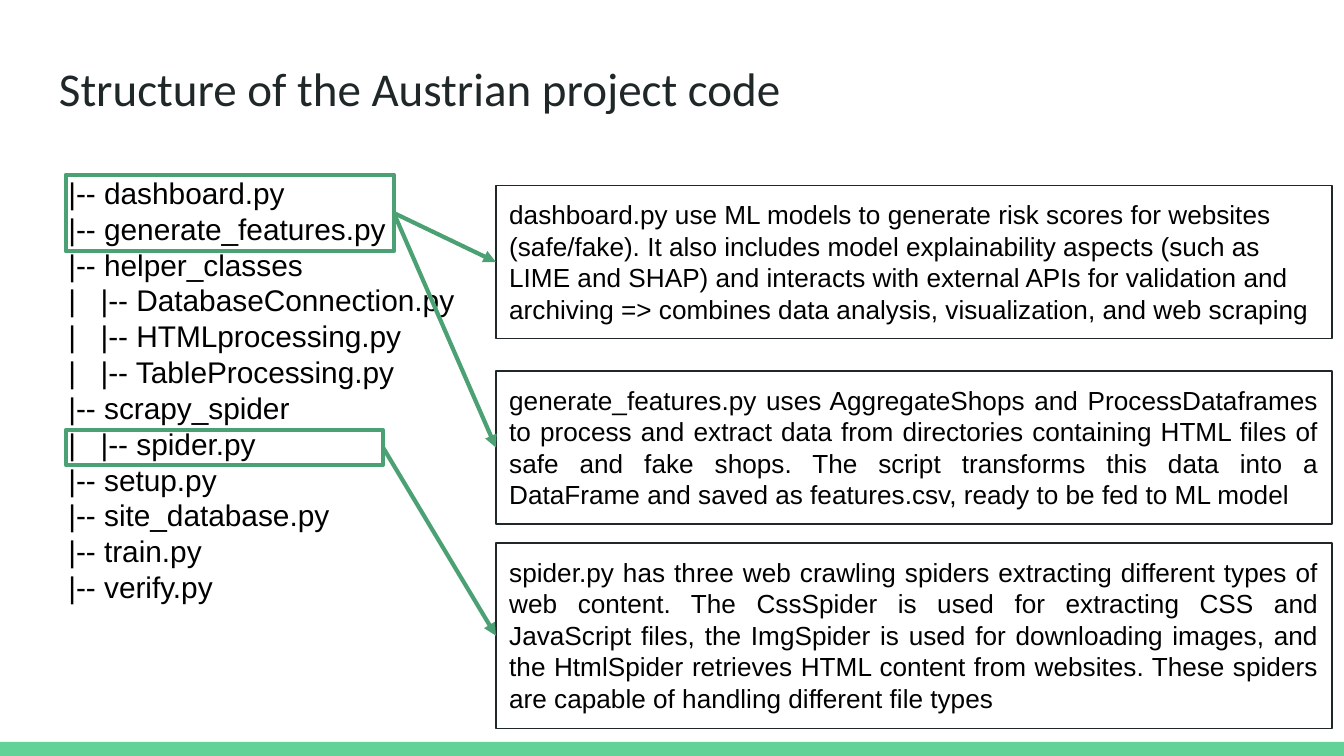
"""Build a slide that links a project file tree to descriptions of its scripts."""
from typing import NamedTuple

from lxml.etree import SubElement
from pptx import Presentation
from pptx.dml.color import RGBColor
from pptx.enum.shapes import MSO_CONNECTOR, MSO_SHAPE
from pptx.enum.text import MSO_ANCHOR, MSO_AUTO_SIZE, PP_ALIGN
from pptx.oxml.ns import qn
from pptx.util import Inches, Pt

GREEN, BAR_GREEN, DARK, BLACK = "4BA173", "63D297", "202729", "000000"
LINE_HEIGHT = 1.2
RIGHT_SIDE, LEFT_SIDE = 3, 1


class Box(NamedTuple):
    """Position and size in inches."""
    left: float
    top: float
    width: float
    height: float


class Description(NamedTuple):
    """A script's explanation and the tree frame that points to it."""
    top: float
    height: float
    alignment: PP_ALIGN
    frame: str
    text: str


TREE = (
    "|-- dashboard.py",
    "|-- generate_features.py",
    "|-- helper_classes",
    "|\t|-- DatabaseConnection.py",
    "|\t|-- HTMLprocessing.py",
    "|\t|-- TableProcessing.py",
    "|-- scrapy_spider",
    "|\t|-- spider.py",
    "|-- setup.py",
    "|-- site_database.py",
    "|-- train.py",
    "|-- verify.py",
)

FRAMES = {
    "features": Box(0.49, 1.3, 2.44, 0.57),
    "spider": Box(0.49, 3.2, 2.36, 0.26),
}

DESCRIPTIONS = (
    Description(1.38, 1.14, PP_ALIGN.LEFT, "features",
                "dashboard.py use ML models to generate risk scores for websites (safe/fake). "
                "It also includes model explainability aspects (such as LIME and SHAP) and "
                "interacts with external APIs for validation and archiving => combines data "
                "analysis, visualization, and web scraping"),
    Description(2.76, 1.14, PP_ALIGN.JUSTIFY, "features",
                "generate_features.py uses AggregateShops and ProcessDataframes to process and "
                "extract data from directories containing HTML files of safe and fake shops. "
                "The script transforms this data into a DataFrame and saved as features.csv, "
                "ready to be fed to ML model"),
    Description(4.04, 1.38, PP_ALIGN.JUSTIFY, "spider",
                "spider.py has three web crawling spiders extracting different types of web "
                "content. The CssSpider is used for extracting CSS and JavaScript files, the "
                "ImgSpider is used for downloading images, and the HtmlSpider retrieves HTML "
                "content from websites. These spiders are capable of handling different file "
                "types"),
)


def color(value: str) -> RGBColor:
    """Turn a hex string into a colour."""
    return RGBColor.from_string(value)


def inches(box: Box) -> list:
    """Convert a box to lengths."""
    return [Inches(value) for value in box]


def add_rectangle(slide, box: Box, fill: str = "", line: str = "", width: float = 0.75):
    """Draw a rectangle with an optional fill and outline."""
    shape = slide.shapes.add_shape(MSO_SHAPE.RECTANGLE, *inches(box))
    shape.shadow.inherit = False
    if fill:
        shape.fill.solid()
        shape.fill.fore_color.rgb = color(fill)
    else:
        shape.fill.background()
    if line:
        shape.line.color.rgb = color(line)
        shape.line.width = Pt(width)
    else:
        shape.line.fill.background()
    return shape


def write_text(shape, lines: tuple, size: float, font: str = "Arial", text_color: str = BLACK,
               alignment: PP_ALIGN = PP_ALIGN.LEFT, spacing=None) -> None:
    """Write one paragraph per line into a shape."""
    frame = shape.text_frame
    frame_format = {"word_wrap": True, "auto_size": MSO_AUTO_SIZE.NONE,
                    "vertical_anchor": MSO_ANCHOR.TOP}
    frame_format |= {f"margin_{side}": Inches(0.1) for side in ("left", "top", "right", "bottom")}
    for name, value in frame_format.items():
        setattr(frame, name, value)
    for index, line in enumerate(lines):
        paragraph = frame.add_paragraph() if index else frame.paragraphs[0]
        paragraph.alignment = alignment
        paragraph.line_spacing = spacing
        run = paragraph.add_run()
        run.text = line
        for name, value in {"name": font, "size": Pt(size)}.items():
            setattr(run.font, name, value)
        run.font.color.rgb = color(text_color)
        if "\t" in line:
            tabs = SubElement(paragraph._p.get_or_add_pPr(), qn("a:tabLst"))
            SubElement(tabs, qn("a:tab"), pos=str(Inches(0.24)), algn="l")


def add_arrow(slide, source, target) -> None:
    """Join a frame's right side to a description's left side."""
    connector = slide.shapes.add_connector(MSO_CONNECTOR.STRAIGHT, 0, 0, 0, 0)
    connector.begin_connect(source, RIGHT_SIDE)
    connector.end_connect(target, LEFT_SIDE)
    connector.line.color.rgb = color(GREEN)
    connector.line.width = Pt(2.25)
    SubElement(connector.line._get_or_add_ln(), qn("a:tailEnd"), type="triangle")
    SubElement(connector._element.spPr, qn("a:effectLst"))


def main() -> None:
    """Build and save the presentation."""
    presentation = Presentation()
    presentation.slide_width = Inches(10)
    presentation.slide_height = presentation.slide_width * 9 // 16
    slide = presentation.slides.add_slide(presentation.slide_layouts[6])

    bar = add_rectangle(slide, Box(0, 5.52, 10, 0.1), fill=BAR_GREEN)
    bar.height = presentation.slide_height - bar.top
    title = slide.shapes.add_textbox(*inches(Box(0.34, 0.34, 9.32, 0.63)))
    write_text(title, ("Structure of the Austrian project code",), 25.2, "Calibri", DARK)
    tree = slide.shapes.add_textbox(*inches(Box(0.41, 1.2, 3.28, 3.43)))
    write_text(tree, TREE, 16, spacing=Pt(16 * LINE_HEIGHT))

    frames = {name: add_rectangle(slide, box, line=GREEN, width=2.25)
              for name, box in FRAMES.items()}
    for description in DESCRIPTIONS:
        box = Box(3.69, description.top, 6.22, description.height)
        shape = add_rectangle(slide, box, line=DARK)
        write_text(shape, (description.text,), 14, alignment=description.alignment,
                   spacing=Pt(14 * LINE_HEIGHT))
        add_arrow(slide, frames[description.frame], shape)

    presentation.save("out.pptx")


if __name__ == "__main__":
    main()
